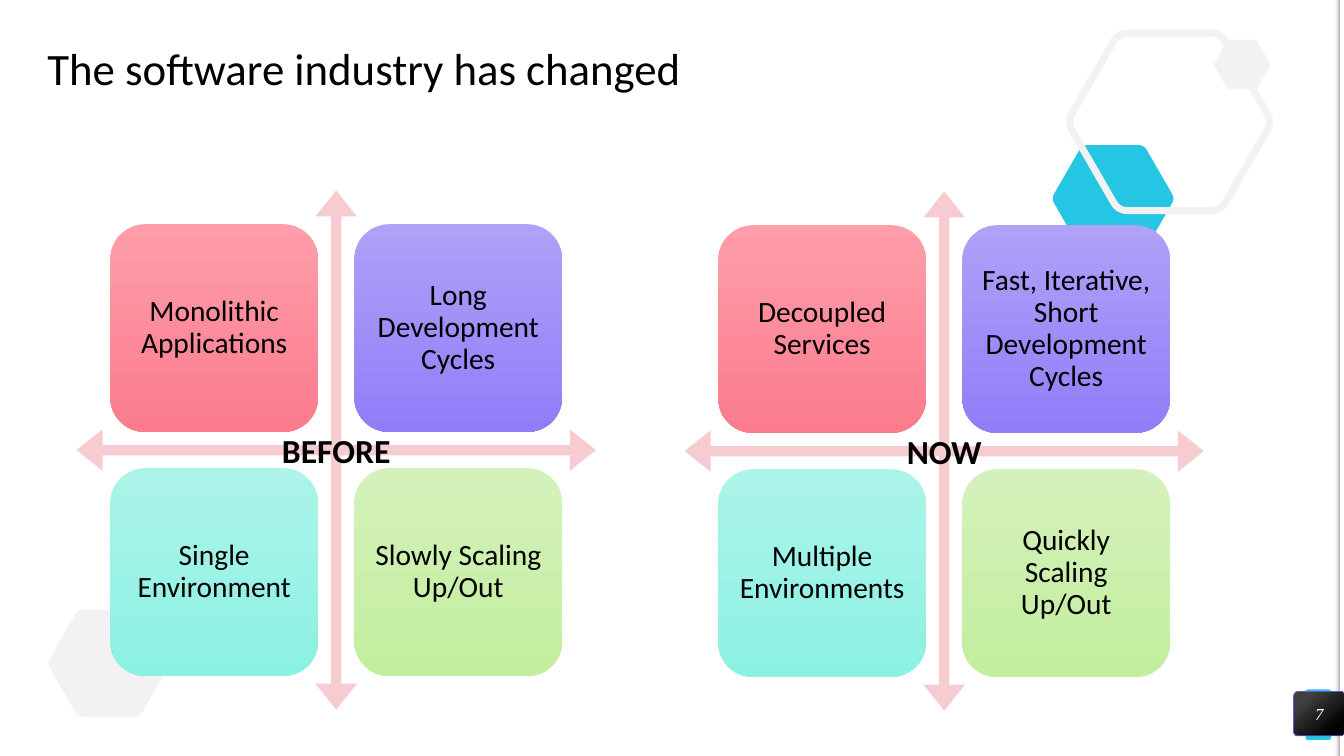
from math import cos, pi, sin

from lxml.etree import SubElement
from pptx import Presentation
from pptx.dml.color import RGBColor
from pptx.enum.shapes import MSO_SHAPE
from pptx.enum.text import MSO_ANCHOR, MSO_AUTO_SIZE, PP_ALIGN
from pptx.oxml.ns import qn
from pptx.util import Inches, Pt

COLORS = {
    "text": "000000",
    "white": "FFFFFF",
    "pale": "F2F2F2",
    "cyan": "25C6E3",
    "arrow": "F6CCD1",
    "edge": "A6A6A6",
    "badge_top": "404040",
    "badge_line": "6A50DB",
}
QUADRANT_FILLS = [
    ("FF9DAA", "FA7C8D"),
    ("AEA1F8", "907EF9"),
    ("ACF3E9", "8BF2E3"),
    ("D4F1BB", "C3EE9E"),
]
HEXAGONS = [
    (11.04, 1.97, 1.06, "cyan", None),
    (11.6, 1.21, 1.76, None, "pale"),
    (1.08, 6.58, 1.06, "pale", None),
    (12.32, 0.64, 0.49, "pale", None),
]
MATRICES = [
    (0.76, 1.89, "BEFORE", [
        "Monolithic Applications",
        "Long Development Cycles",
        "Single Environment",
        "Slowly Scaling Up/Out",
    ]),
    (6.79, 1.9, "NOW", [
        "Decoupled Services",
        "Fast, Iterative, Short Development Cycles",
        "Multiple Environments",
        "Quickly Scaling Up/Out",
    ]),
]
MATRIX_SIZE = 5.15
CELL_SHARE = 0.4
CELL_STARTS = (0.065, 0.535)


def rgb(value):
    return RGBColor.from_string(value)


def add_box(page, kind, left, top, width, height, fill=None):
    box = page.shapes.add_shape(
        kind, Inches(left), Inches(top), Inches(width), Inches(height)
    )
    box.shadow.inherit = False
    box.line.fill.background()
    if fill:
        box.fill.solid()
        box.fill.fore_color.rgb = rgb(COLORS[fill])
    return box


def shade(box, colors, angle, positions=(0, 1)):
    box.fill.gradient()
    box.fill.gradient_angle = angle
    for stop, color, position in zip(box.fill.gradient_stops, colors, positions):
        stop.color.rgb = rgb(color)
        stop.position = position


def write(box, text, size, name="Calibri", color="text", align=PP_ALIGN.CENTER,
          inset=0, spacing=None, bold=False, italic=False):
    frame = box.text_frame
    frame.text = text
    frame.word_wrap = True
    frame.vertical_anchor = MSO_ANCHOR.MIDDLE
    frame.margin_left = frame.margin_right = Inches(inset)
    frame.margin_top = frame.margin_bottom = Inches(inset)
    para = frame.paragraphs[0]
    para.alignment = align
    if spacing:
        para.line_spacing = spacing
    font = para.runs[0].font
    font.name, font.size = name, Pt(size)
    font.bold, font.italic = bold, italic
    font.color.rgb = rgb(COLORS[color])


def hexagon_points(center_x, center_y, height, cut=0.09, steps=5):
    radius = height / 3 ** 0.5
    corners = [
        (center_x + radius * cos(k * pi / 3), center_y + radius * sin(k * pi / 3))
        for k in range(6)
    ]
    points = []
    for k, corner in enumerate(corners):
        before, after = corners[k - 1], corners[(k + 1) % 6]
        for step in range(steps + 1):
            t = step / steps
            points.append(tuple(
                Inches(c + cut * ((1 - t) ** 2 * (b - c) + t ** 2 * (a - c)))
                for b, c, a in zip(before, corner, after)
            ))
    return points


def add_hexagon(page, center_x, center_y, height, fill, line):
    start, *rest = hexagon_points(center_x, center_y, height)
    builder = page.shapes.build_freeform(*start)
    builder.add_line_segments(rest)
    hexagon = builder.convert_to_shape()
    hexagon.shadow.inherit = False
    if fill:
        hexagon.fill.solid()
        hexagon.fill.fore_color.rgb = rgb(COLORS[fill])
    else:
        hexagon.fill.background()
    if line:
        hexagon.line.color.rgb = rgb(COLORS[line])
        hexagon.line.width = Pt(5)
    else:
        hexagon.line.fill.background()


def add_backdrop(page):
    for hexagon in HEXAGONS:
        add_hexagon(page, *hexagon)
    edge = add_box(page, MSO_SHAPE.RECTANGLE, 13.24, 0, 0.05, 7.5)
    shade(edge, (COLORS["pale"], COLORS["edge"]), 0)
    clear_color = next(edge.element.iter(qn("a:srgbClr")))
    SubElement(clear_color, qn("a:alpha")).set("val", "0")


def add_title(page, text):
    title = page.shapes.title
    title.left, title.top = Inches(0.47), Inches(0.47)
    title.width, title.height = Inches(12.39), Inches(0.47)
    write(title, text, 32, align=PP_ALIGN.LEFT, spacing=0.9)
    title.text_frame.auto_size = MSO_AUTO_SIZE.NONE


def add_page_number(page, number):
    tab = add_box(page, MSO_SHAPE.ROUNDED_RECTANGLE, 12.95, 6.84, 0.25, 0.5, "cyan")
    tab.adjustments[0] = 0.07
    badge = add_box(page, MSO_SHAPE.ROUNDED_RECTANGLE, 12.83, 6.86, 0.51, 0.44)
    badge.adjustments[0] = 0.1
    shade(badge, (COLORS["badge_top"], COLORS["text"]), 310, (0.2, 0.82))
    badge.line.color.rgb = rgb(COLORS["badge_line"])
    badge.line.width = Pt(0.5)
    write(badge, number, 12, "Times New Roman", "white", italic=True)


def add_matrix(page, left, top, label, texts, size=MATRIX_SIZE):
    arrows = add_box(page, MSO_SHAPE.QUAD_ARROW, left, top, size, size, "arrow")
    for index, share in enumerate((0.02, 0.04, 0.05)):
        arrows.adjustments[index] = share
    for index, (text, colors) in enumerate(zip(texts, QUADRANT_FILLS)):
        row, column = divmod(index, 2)
        cell = add_box(
            page, MSO_SHAPE.ROUNDED_RECTANGLE,
            left + CELL_STARTS[column] * size, top + CELL_STARTS[row] * size,
            CELL_SHARE * size, CELL_SHARE * size,
        )
        shade(cell, colors, 270)
        write(cell, text, 21, inset=0.09, spacing=0.9)
    caption = page.shapes.add_textbox(
        Inches(left + 0.055 * size), Inches(top + 0.45 * size),
        Inches(0.89 * size), Inches(0.1 * size),
    )
    write(caption, label, 24, inset=0.05, bold=True)


def main():
    deck = Presentation()
    deck.slide_width, deck.slide_height = Inches(13.33), Inches(7.5)
    page = deck.slides.add_slide(deck.slide_layouts[5])
    add_backdrop(page)
    add_title(page, "The software industry has changed")
    add_page_number(page, "7")
    for matrix in MATRICES:
        add_matrix(page, *matrix)
    deck.save("out.pptx")


if __name__ == "__main__":
    main()
